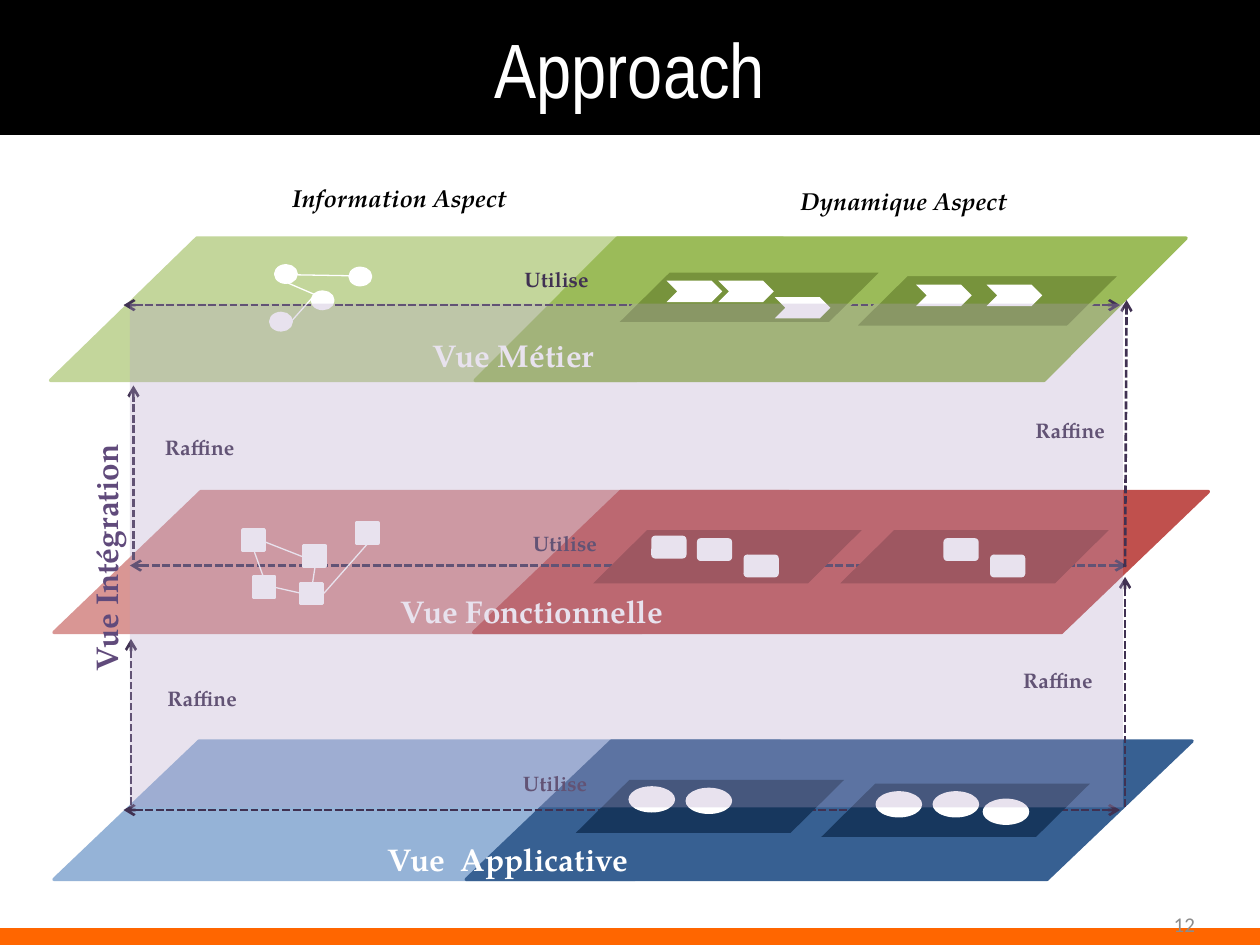
"""Build the slide on the three views, their two aspects and the integration view."""
import lxml.etree
import pptx
import pptx.dml.color
import pptx.enum.dml
import pptx.enum.shapes
import pptx.enum.text
import pptx.oxml.ns
import pptx.util

Cm = pptx.util.Cm
Pt = pptx.util.Pt
RGB = pptx.dml.color.RGBColor.from_string
qn = pptx.oxml.ns.qn
Kind = pptx.enum.shapes.MSO_SHAPE
Align = pptx.enum.text.PP_ALIGN
Anchor = pptx.enum.text.MSO_ANCHOR
AutoSize = pptx.enum.text.MSO_AUTO_SIZE


class Theme:
    title_font, body_font, number_font = "Arial Narrow", "TeX Gyre Pagella", "Calibri"
    title_size, view_size, aspect_size, relation_size = 44, 18, 14, 12
    black, white, orange, grey = "000000", "FFFFFF", "FF6600", "8C8C8C"
    relation, integration, veil = "403152", "604A7B", "B3A2C7"
    business_light, business, business_dark = "C3D69B", "9BBB59", "77933C"
    functional_light, functional, functional_dark = "D99694", "C0504D", "953735"
    application_light, application, application_dark = "95B3D7", "376092", "17375E"


def draw_shape(kind, left, top, width, height, fill, outline=None, weight=2):
    shape = slide.shapes.add_shape(kind, Cm(left), Cm(top), Cm(width), Cm(height))
    shape.shadow.inherit = False
    shape.fill.solid()
    shape.fill.fore_color.rgb = RGB(fill)
    if outline:
        shape.line.color.rgb = RGB(outline)
        shape.line.width = Pt(weight)
    else:
        shape.line.fill.background()
    return shape


def draw_line(start_x, start_y, end_x, end_y, color, weight, arrow_ends=()):
    line = slide.shapes.add_connector(
        pptx.enum.shapes.MSO_CONNECTOR.STRAIGHT,
        Cm(start_x), Cm(start_y), Cm(end_x), Cm(end_y))
    line.line.color.rgb = RGB(color)
    line.line.width = Pt(weight)
    properties = line._element.spPr
    if arrow_ends:
        line.line.dash_style = pptx.enum.dml.MSO_LINE.SQUARE_DOT
        for end in arrow_ends:
            lxml.etree.SubElement(properties.find(qn("a:ln")), qn(end), type="arrow")
    lxml.etree.SubElement(properties, qn("a:effectLst"))


presentation = pptx.Presentation()
presentation.slide_width, presentation.slide_height = Cm(25.4), Cm(19.05)
slide = presentation.slides.add_slide(presentation.slide_layouts[5])

title = slide.shapes.title
title.left, title.top, title.width, title.height = Cm(0), Cm(0), Cm(25.4), Cm(2.72)
title.fill.solid()
title.fill.fore_color.rgb = RGB(Theme.black)
title.text_frame.text = "Approach"
title.text_frame.auto_size = AutoSize.NONE
title.text_frame.vertical_anchor = Anchor.MIDDLE
title.text_frame.paragraphs[0].alignment = Align.CENTER
title_font = title.text_frame.paragraphs[0].runs[0].font
title_font.name, title_font.size = Theme.title_font, Pt(Theme.title_size)
title_font.color.rgb = RGB(Theme.white)

draw_shape(Kind.RECTANGLE, 0, 18.72, 25.4, 0.33, Theme.orange, Theme.orange, 0.75)

page_number = slide.shapes.add_textbox(Cm(18.42), Cm(18.11), Cm(5.92), Cm(1.02))
page_number.text_frame.word_wrap = True
page_number.text_frame.vertical_anchor = Anchor.MIDDLE
page_number.text_frame.text = "12"
page_number.text_frame.paragraphs[0].alignment = Align.RIGHT
number_font = page_number.text_frame.paragraphs[0].runs[0].font
number_font.name, number_font.size = Theme.number_font, Pt(Theme.relation_size)
number_font.color.rgb = RGB(Theme.grey)

for left, top, width, height, color in [
    (1.09, 14.94, 14.63, 2.79, Theme.application_light),
    (1.09, 9.91, 14.81, 2.84, Theme.functional_light),
    (1.02, 4.8, 14.76, 2.87, Theme.business_light),
    (9.4, 14.94, 14.63, 2.79, Theme.application),
    (9.55, 9.91, 14.81, 2.84, Theme.functional),
    (9.58, 4.8, 14.33, 2.87, Theme.business),
]:
    draw_shape(Kind.FLOWCHART_DATA, left, top, width, height, color, color)

for refinement in [
    (22.68, 11.43, 22.71, 6.05),
    (22.68, 16.26, 22.68, 11.63),
    (2.69, 11.28, 2.69, 7.77),
    (2.64, 16.23, 2.64, 12.88),
]:
    draw_line(*refinement, Theme.relation, 1.5, ["a:tailEnd"])

for left, top in [(2.49, 6.15), (2.62, 11.4), (2.49, 16.33)]:
    draw_line(left, top, left + 20.09, top, Theme.relation, 1.5,
              ["a:headEnd", "a:tailEnd"])

view, aspect, relation = Theme.view_size, Theme.aspect_size, Theme.relation_size
for wording, left, top, width, height, size, color in [
    ("Vue Intégration", -2.87, 10.87, 10.01, 0.76, view, Theme.integration),
    ("Information Aspect", 3.05, 3.68, 10.01, 0.61, aspect, Theme.black),
    ("Dynamique Aspect ", 13.28, 3.76, 10.01, 0.61, aspect, Theme.black),
    ("Vue Fonctionnelle", 5.79, 11.94, 9.86, 0.76, view, Theme.white),
    ("Vue Métier", 6.55, 6.78, 7.59, 0.76, view, Theme.white),
    ("Vue  Applicative", 5.23, 16.94, 10.01, 0.76, view, Theme.white),
    ("Utilise", 8.92, 5.38, 4.6, 0.51, relation, Theme.relation),
    ("Utilise", 9.09, 10.69, 4.6, 0.51, relation, Theme.relation),
    ("Utilise", 8.89, 15.54, 4.6, 0.51, relation, Theme.relation),
    ("Raffine", 19.3, 8.41, 4.55, 0.51, relation, Theme.relation),
    ("Raffine", 19.05, 13.46, 4.55, 0.51, relation, Theme.relation),
    ("Raffine", 1.8, 13.82, 4.55, 0.51, relation, Theme.relation),
    ("Raffine", 1.75, 8.76, 4.55, 0.51, relation, Theme.relation),
]:
    label = slide.shapes.add_textbox(Cm(left), Cm(top), Cm(width), Cm(height))
    label.rotation = 270 if color == Theme.integration else 0
    frame = label.text_frame
    frame.word_wrap = True
    frame.auto_size = AutoSize.SHAPE_TO_FIT_TEXT
    frame.margin_left = frame.margin_right = Cm(0.1)
    frame.margin_top = frame.margin_bottom = Cm(0)
    frame.text = wording
    frame.paragraphs[0].alignment = Align.CENTER
    font = frame.paragraphs[0].runs[0].font
    font.name, font.size, font.bold = Theme.body_font, Pt(size), True
    font.italic = size == aspect
    font.color.rgb = RGB(color)

for kind, width, height, nodes, links in [
    (Kind.OVAL, 0.41, 0.33,
     [(5.56, 5.36), (6.3, 5.89), (5.46, 6.32), (7.06, 5.41)],
     [(5.97, 5.54, 7.06, 5.56), (6.35, 5.94, 5.77, 5.69), (5.87, 6.48, 6.35, 5.94)]),
    (Kind.RECTANGLE, 0.43, 0.41,
     [(4.9, 10.69), (6.12, 11), (5.11, 11.63), (6.07, 11.76), (7.19, 10.54)],
     [(5.33, 10.92, 6.12, 11.23), (5.13, 11.13, 5.31, 11.63),
      (7.42, 10.95, 6.53, 11.96), (6.07, 11.96, 5.54, 11.84),
      (6.3, 11.76, 6.35, 11.43)]),
]:
    for left, top in nodes:
        draw_shape(kind, left, top, width, height, Theme.white, Theme.white)
    for link in links:
        draw_line(*link, Theme.white, 0.75)

for panel_color, panel_outline, panels, kind, width, height, steps in [
    (Theme.business_dark, Theme.business, [(12.4, 5.46), (17.2, 5.53)],
     Kind.CHEVRON, 1.12, 0.43,
     [(14.48, 5.66), (13.44, 5.66), (15.62, 5.99), (19.89, 5.74), (18.47, 5.74)]),
    (Theme.functional_dark, None, [(11.96, 10.69), (16.94, 10.69)],
     Kind.ROUNDED_RECTANGLE, 0.71, 0.46,
     [(13.13, 10.8), (14.05, 10.85), (14.99, 11.18), (19.02, 10.85), (19.96, 11.18)]),
    (Theme.application_dark, None, [(11.61, 15.72), (16.56, 15.8)],
     Kind.OVAL, 0.94, 0.53,
     [(12.67, 15.85), (13.82, 15.88), (17.65, 15.95), (18.8, 15.95), (19.81, 16.1)]),
]:
    for left, top in panels:
        draw_shape(Kind.FLOWCHART_DATA, left, top, 5.41, 1.07, panel_color, panel_outline)
    for left, top in steps:
        draw_shape(kind, left, top, width, height, Theme.white)

integration_veil = draw_shape(Kind.RECTANGLE, 2.62, 6.12, 20.02, 10.16, Theme.veil)
veil_color = integration_veil._element.spPr.find(qn("a:solidFill")).find(qn("a:srgbClr"))
lxml.etree.SubElement(veil_color, qn("a:alpha"), val="30000")

presentation.save("out.pptx")
